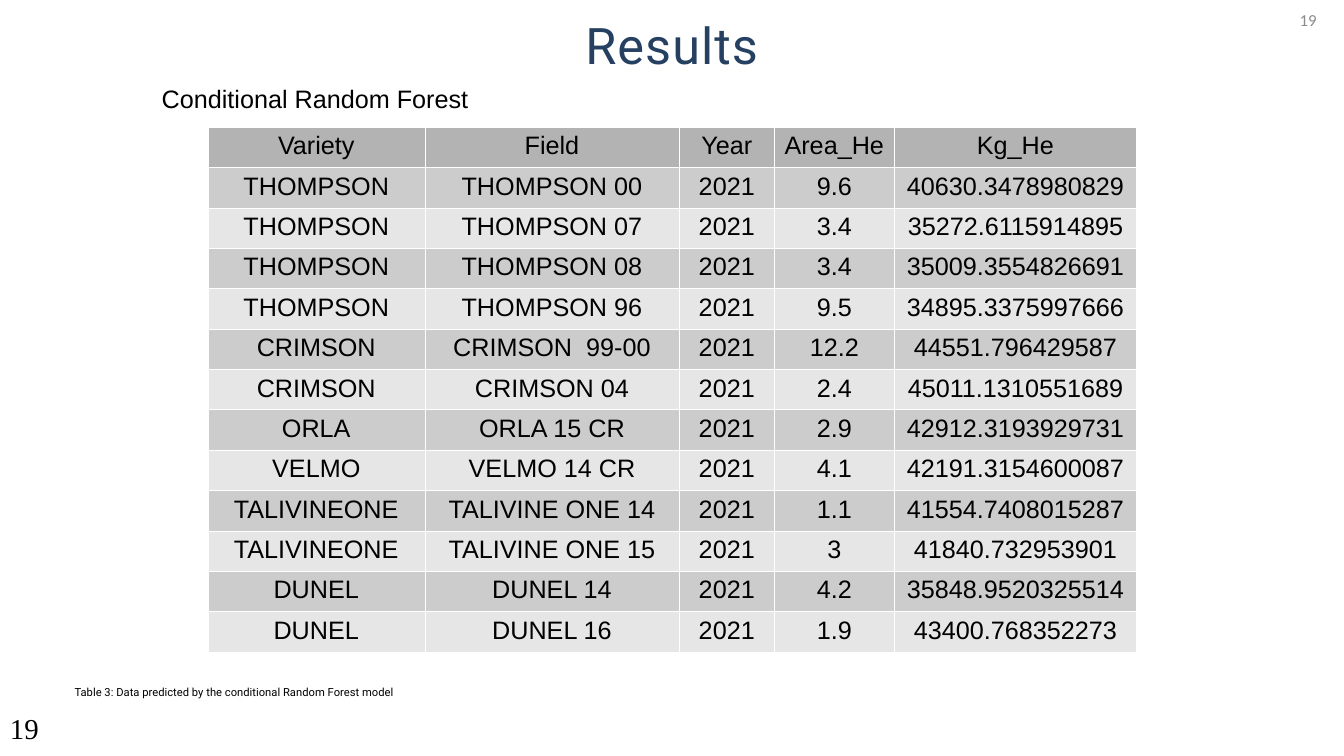
from dataclasses import dataclass

from lxml import etree
from pptx import Presentation
from pptx.dml.color import RGBColor
from pptx.enum import shapes, text
from pptx.oxml import ns
from pptx.util import Cm, Pt


@dataclass(frozen=True)
class Theme:
    """Colours, fonts and type sizes of the slide."""
    ink: str = "000000"
    navy: str = "254061"
    grey: str = "8B8B8B"
    white: str = "FFFFFF"
    header: str = "B3B3B3"
    bands: tuple = ("CCCCCC", "E6E6E6")
    heading_font: str = "Roboto"
    body_font: str = "Arial"
    number_font: str = "Calibri"
    footer_font: str = "Times New Roman"
    title_size: float = 36
    body_size: float = 18
    caption_size: float = 8
    number_size: float = 12
    footer_size: float = 20.6
    border_width: float = 0.06


THEME = Theme()
ALIGN = text.PP_ALIGN
MIDDLE = text.MSO_ANCHOR.MIDDLE
COLUMNS = (("Variety", 5.46), ("Field", 6.42), ("Year", 2.39), ("Area_He", 3.03), ("Kg_He", 6.1))
YEAR = "2021"
PREDICTIONS = (
    ("THOMPSON", "THOMPSON 00", "9.6", "40630.3478980829"),
    ("THOMPSON", "THOMPSON 07", "3.4", "35272.6115914895"),
    ("THOMPSON", "THOMPSON 08", "3.4", "35009.3554826691"),
    ("THOMPSON", "THOMPSON 96", "9.5", "34895.3375997666"),
    ("CRIMSON", "CRIMSON  99-00", "12.2", "44551.796429587"),
    ("CRIMSON", "CRIMSON 04", "2.4", "45011.1310551689"),
    ("ORLA", "ORLA 15 CR", "2.9", "42912.3193929731"),
    ("VELMO", "VELMO 14 CR", "4.1", "42191.3154600087"),
    ("TALIVINEONE", "TALIVINE ONE 14", "1.1", "41554.7408015287"),
    ("TALIVINEONE", "TALIVINE ONE 15", "3", "41840.732953901"),
    ("DUNEL", "DUNEL 14", "4.2", "35848.9520325514"),
    ("DUNEL", "DUNEL 16", "1.9", "43400.768352273"),
)


def write(frame, words, font, size, colour, align=ALIGN.LEFT):
    """Write one styled run into the first paragraph and return the run."""
    paragraph = frame.paragraphs[0]
    paragraph.alignment = align
    run = paragraph.add_run()
    run.text = words
    run.font.name = font
    run.font.size = Pt(size)
    run.font.bold = False
    run.font.color.rgb = RGBColor.from_string(colour)
    return run


def add_label(slide, box, words, font, size, colour, align=ALIGN.LEFT, anchor=text.MSO_ANCHOR.TOP):
    """Place a wrapped line of text in the box."""
    frame = slide.shapes.add_textbox(*map(Cm, box)).text_frame
    frame.word_wrap = True
    frame.vertical_anchor = anchor
    write(frame, words, font, size, colour, align)


def add_title(slide, box, words):
    """Place the slide title, centred and slightly spaced out."""
    frame = slide.shapes.add_textbox(*map(Cm, box)).text_frame
    frame.word_wrap = True
    frame.margin_left = frame.margin_top = frame.margin_right = frame.margin_bottom = 0
    run = write(frame, words, THEME.heading_font, THEME.title_size, THEME.navy, ALIGN.CENTER)
    run.font._element.set("spc", "80")
    frame.paragraphs[0].line_spacing = Pt(64)


def add_caption(slide, box, words):
    """Place the table caption on a white rectangle."""
    caption = slide.shapes.add_shape(shapes.MSO_SHAPE.RECTANGLE, *map(Cm, box))
    caption.shadow.inherit = False
    caption.fill.solid()
    caption.fill.fore_color.rgb = RGBColor.from_string(THEME.white)
    caption.line.fill.background()
    caption.text_frame.word_wrap = True
    caption.text_frame.vertical_anchor = text.MSO_ANCHOR.TOP
    write(caption.text_frame, words, THEME.heading_font, THEME.caption_size, THEME.ink)


def style_cell(cell, fill):
    """Give a cell thin white borders and a solid fill."""
    properties = cell._tc.get_or_add_tcPr()
    for side in ("a:lnL", "a:lnR", "a:lnT", "a:lnB"):
        border = etree.SubElement(properties, ns.qn(side), w=str(int(Pt(THEME.border_width))))
        solid = etree.SubElement(border, ns.qn("a:solidFill"))
        etree.SubElement(solid, ns.qn("a:srgbClr"), val=THEME.white)
    cell.fill.solid()
    cell.fill.fore_color.rgb = RGBColor.from_string(fill)


def add_predictions(slide, box):
    """Place the prediction table with a header and alternating bands."""
    header = tuple(name for name, _ in COLUMNS)
    records = [header] + [(variety, field, YEAR, area, kg) for variety, field, area, kg in PREDICTIONS]
    table = slide.shapes.add_table(len(records), len(COLUMNS), *map(Cm, box)).table
    table.first_row = table.horz_banding = False
    for column, (_, width) in zip(table.columns, COLUMNS):
        column.width = Cm(width)
    for index, record in enumerate(records):
        fill = THEME.bands[(index - 1) % 2] if index else THEME.header
        for cell, words in zip(table.rows[index].cells, record):
            style_cell(cell, fill)
            write(cell.text_frame, words, THEME.body_font, THEME.body_size, THEME.ink, ALIGN.CENTER)


def build_results(slide, number):
    """Lay out the results slide."""
    add_label(slide, (0, 17.78, 4.45, 1.17), number, THEME.footer_font, THEME.footer_size, THEME.ink)
    add_label(slide, (29.49, 0.18, 3.94, 0.66), number, THEME.number_font, THEME.number_size,
              THEME.grey, ALIGN.RIGHT, MIDDLE)
    add_title(slide, (2.64, -0.38, 28.58, 2.26), "Results")
    add_label(slide, (1.27, 2, 13.34, 0.97), "Conditional Random Forest", THEME.body_font,
              THEME.body_size, THEME.ink, ALIGN.CENTER, MIDDLE)
    add_predictions(slide, (5.24, 3.2, 23.4, 13.23))
    add_caption(slide, (1.63, 17.15, 10.41, 0.58),
                "Table 3: Data predicted by the conditional Random Forest model")


def main():
    """Build and save the presentation."""
    deck = Presentation()
    deck.slide_width, deck.slide_height = Cm(33.87), Cm(19.05)
    build_results(deck.slides.add_slide(deck.slide_layouts[6]), "19")
    deck.save("out.pptx")


if __name__ == "__main__":
    main()
